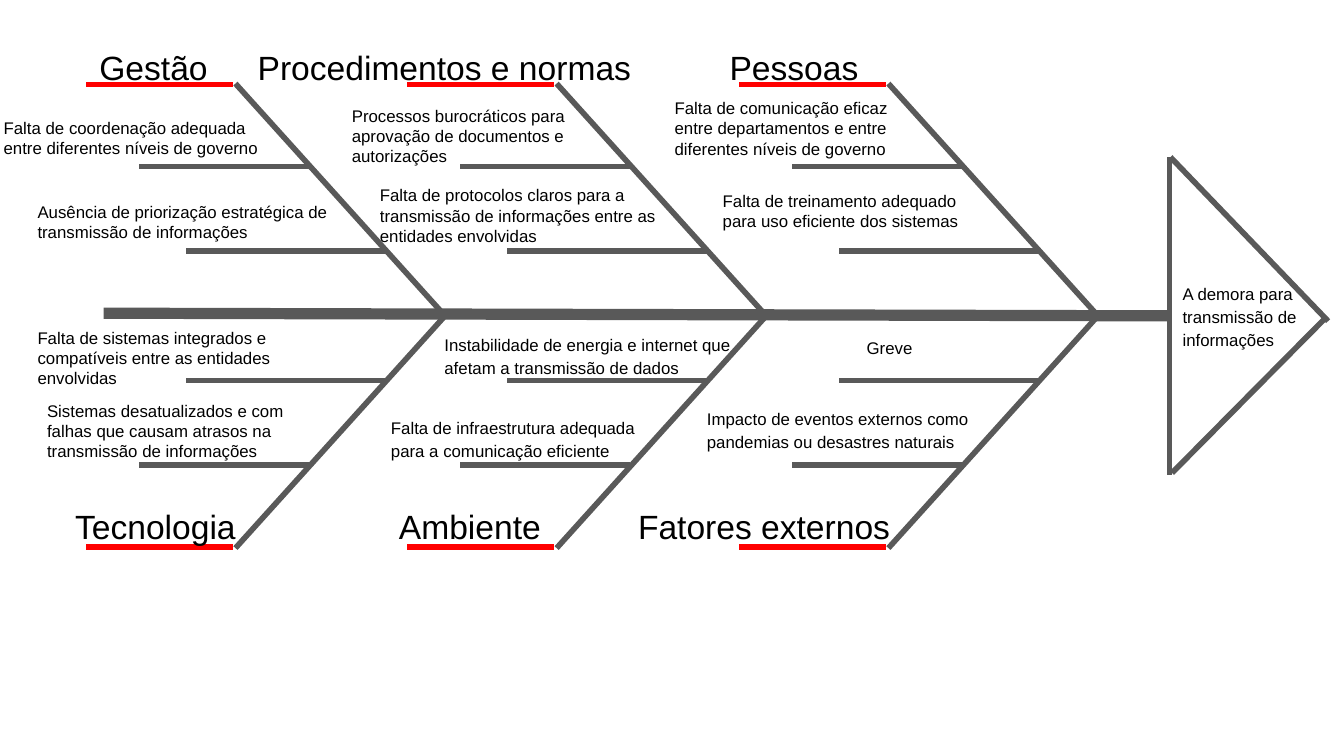
from lxml import etree
from pptx import Presentation
from pptx.dml.color import RGBColor
from pptx.enum import shapes, text
from pptx.oxml.ns import qn
from pptx.util import Cm, Pt

COLORS = {"bone": "595959", "accent": "FF0000", "text": "000000"}

# Content: heading, its left and width, then causes as (text, left, top, width, height) in cm
UPPER = [
    ("Gestão", 1.63, 14.35, [
        ("Falta de coordenação adequada\nentre diferentes níveis de governo", -0.18, 1.98, 7.11, 1.27),
        ("Ausência de priorização estratégica de transmissão de informações", 0.46, 3.56, 6.17, 1.27),
    ]),
    ("Procedimentos e normas", 4.62, 14.35, [
        ("Processos burocráticos para aprovação de documentos e autorizações", 6.4, 1.75, 4.83, 1.68),
        ("Falta de protocolos claros para a transmissão de informações entre as entidades envolvidas",
         6.93, 3.25, 6.17, 1.68),
    ]),
    ("Pessoas", 13.54, 12.6, [
        ("Falta de comunicação eficaz entre departamentos e entre diferentes níveis de governo",
         12.5, 1.6, 4.83, 1.68),
        ("Falta de treinamento adequado para uso eficiente dos sistemas", 13.41, 3.35, 5.49, 1.27),
    ]),
]
LOWER = [
    ("Tecnologia", 1.17, 14.35, [
        ("Falta de sistemas integrados e compatíveis entre as entidades envolvidas", 0.46, 5.94, 6.17, 1.68),
        ("Sistemas desatualizados e com falhas que causam atrasos na transmissão de informações",
         0.64, 7.32, 5.49, 1.68),
    ]),
    ("Ambiente", 7.29, 14.35, [
        ("Instabilidade de energia e internet que afetam a transmissão de dados", 8.15, 6.02, 6.17, 1.35),
        ("Falta de infraestrutura adequada para a comunicação eficiente", 7.14, 7.59, 5.49, 1.35),
    ]),
    ("Fatores externos", 11.81, 12.88, [
        ("Greve", 16.13, 6.1, 2.06, 0.89),
        ("Impacto de eventos externos como pandemias ou desastres naturais", 13.11, 7.42, 6.17, 1.35),
    ]),
]
EFFECT = ("A demora para transmissão de informações", 22.1, 5.05, 2.77, 1.78)

# Geometry in cm; the bones are given relative to their joint on the spine
SPINE_Y = 5.97
JOINTS = [8.41, 14.48, 20.75]
BONES = [  # x1, distance from spine, x2, distance from spine, colour
    (-3.96, 4.39, 0, 0, "bone"),
    (-4.01, 4.37, -6.78, 4.37, "accent"),
    (-2.57, 2.82, -5.78, 2.82, "bone"),
    (-1.12, 1.22, -4.89, 1.22, "bone"),
]
SPINE = (1.96, 5.92, 22.1, SPINE_Y)
HEAD = [(22.1, 2.97, 22.1, 8.97), (22.15, 8.94, 25.07, 5.99), (22.12, 2.97, 25.1, 6.07)]

FRAME = {
    "word_wrap": True, "auto_size": text.MSO_AUTO_SIZE.SHAPE_TO_FIT_TEXT,
    "vertical_anchor": text.MSO_ANCHOR.TOP,
    **{f"margin_{side}": Cm(0.25) for side in ("left", "top", "right", "bottom")},
}
PLAIN = {"alignment": text.PP_ALIGN.LEFT}
SPACED = {**PLAIN, "line_spacing": 1.15, "space_before": Pt(12), "space_after": Pt(12)}

prs = Presentation()
prs.slide_width, prs.slide_height = Cm(25.4), Cm(14.29)
slide = prs.slides.add_slide(prs.slide_layouts[6])


def set_all(obj, values):
    for name, value in values.items():
        setattr(obj, name, value)


def add_line(x1, y1, x2, y2, color="bone", width=3):
    sp = slide.shapes.add_connector(shapes.MSO_CONNECTOR.STRAIGHT, Cm(x1), Cm(y1), Cm(x2), Cm(y2))
    sp.line.color.rgb = RGBColor.from_string(COLORS[color])
    sp.line.width = Pt(width)
    etree.SubElement(sp._element.spPr, qn("a:effectLst"))


def add_text(content, x, y, w, h, size=9, para=PLAIN):
    tf = slide.shapes.add_textbox(Cm(x), Cm(y), Cm(w), Cm(h)).text_frame
    set_all(tf, FRAME)
    tf.text = content
    for p in tf.paragraphs:
        set_all(p, para)
        for r in p.runs:
            set_all(r.font, {"name": "Arial", "size": Pt(size)})
            r.font.color.rgb = RGBColor.from_string(COLORS["text"])


# Bones above and below the spine
for side in (-1, 1):
    for joint in JOINTS:
        for x1, d1, x2, d2, color in BONES:
            add_line(joint + x1, SPINE_Y + side * d1, joint + x2, SPINE_Y + side * d2, color)

# Spine and fish head
add_line(*SPINE, width=6)
for edge in HEAD:
    add_line(*edge)

# Headings and causes
for categories, heading_top in ((UPPER, 0.64), (LOWER, 9.32)):
    for heading, left, width, causes in categories:
        add_text(heading, left, heading_top, width, 1.27, size=18)
        for cause in causes:
            spaced = categories is LOWER and heading != "Tecnologia"
            add_text(*cause, para=SPACED if spaced else PLAIN)

# Effect
add_text(*EFFECT, para=SPACED)

prs.save("out.pptx")
